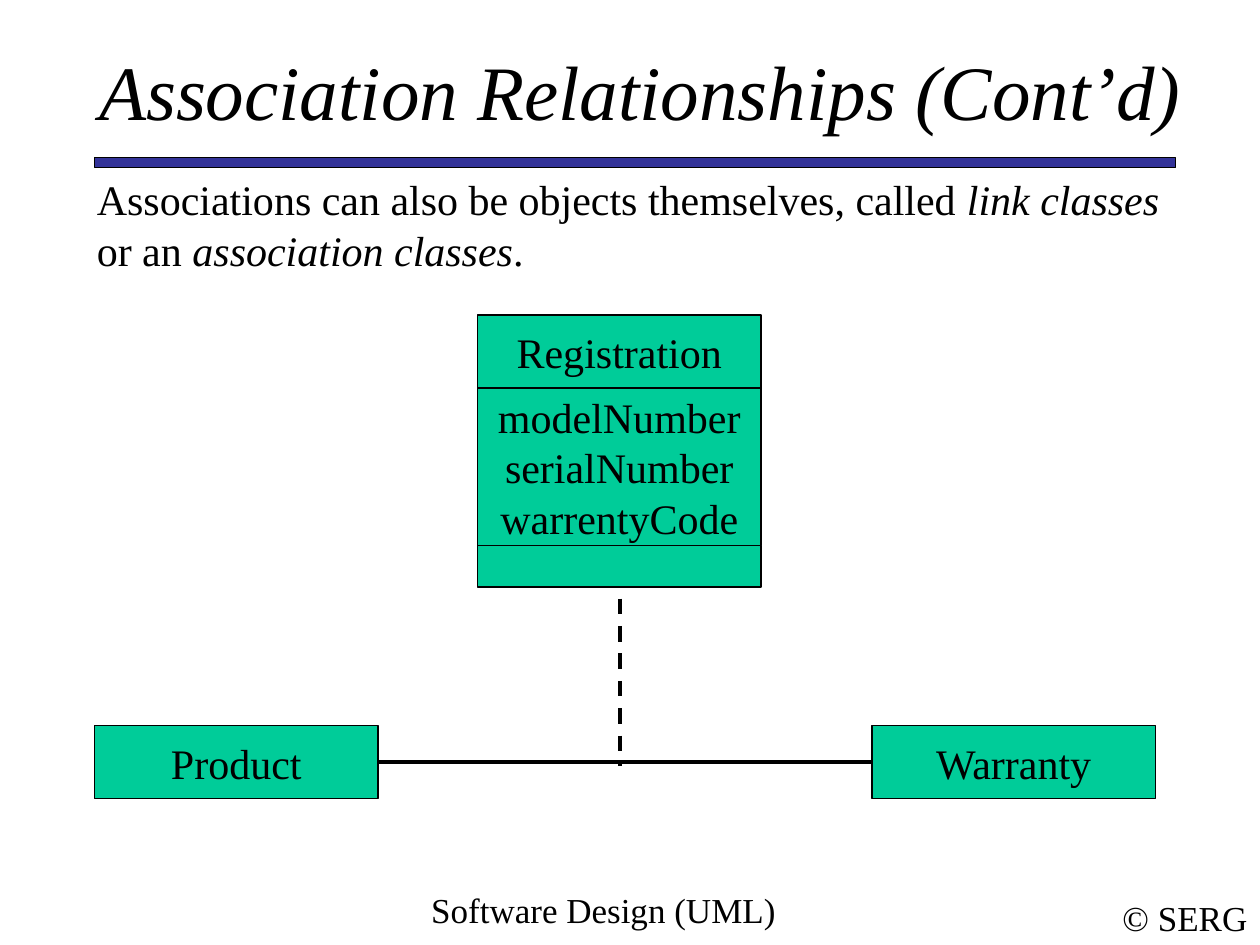
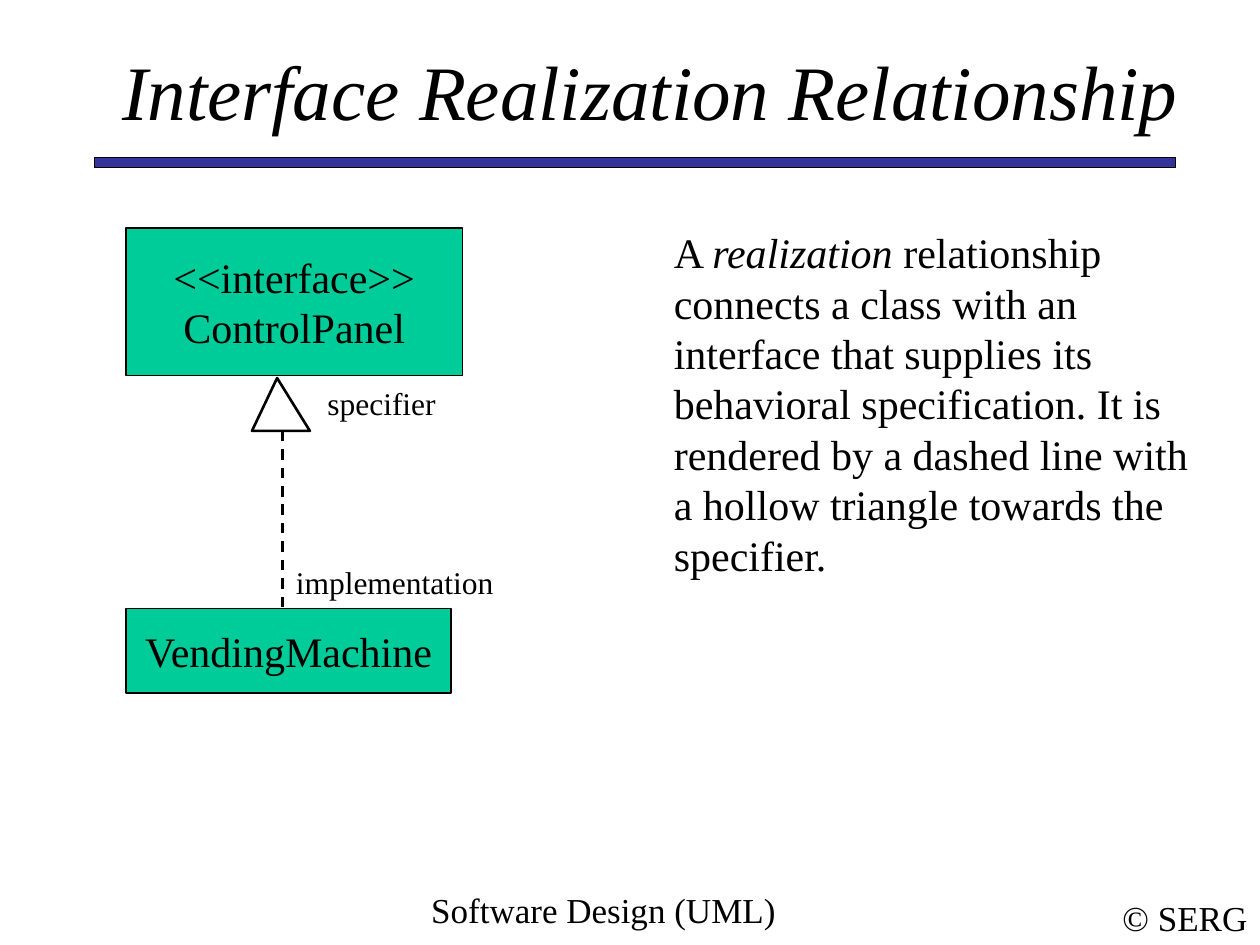
from lxml import etree
from pptx import Presentation
from pptx import util as u
from pptx.dml.color import RGBColor
from pptx.enum import dml, shapes, text
from pptx.oxml.ns import qn

INK, PAPER, BAND, GREEN = "000000", "FFFFFF", "333399", "00CC99"
FONT = "Times New Roman"
RECT = shapes.MSO_SHAPE.RECTANGLE
MID, LEFT = text.PP_ALIGN.CENTER, text.PP_ALIGN.LEFT


def write(frame, lines, size, align=MID, wrap=True, anchor=text.MSO_ANCHOR.TOP):
    frame.auto_size = text.MSO_AUTO_SIZE.NONE
    frame.word_wrap = wrap
    frame.vertical_anchor = anchor
    for row, line in enumerate(lines):
        para = frame.add_paragraph() if row else frame.paragraphs[0]
        para.alignment = align
        for part, words in enumerate(line.split("|")):
            if words:
                run = para.add_run()
                run.text = words
                run.font.name = FONT
                run.font.size = u.Pt(size)
                run.font.italic = part % 2 == 1
                run.font.color.rgb = RGBColor.from_string(INK)


def paint(item, width, fill=None):
    item.line.color.rgb = RGBColor.from_string(INK)
    item.line.width = u.Pt(width)
    if fill:
        item.shadow.inherit = False
        item.fill.solid()
        item.fill.fore_color.rgb = RGBColor.from_string(fill)
    else:
        etree.SubElement(item._element.spPr, qn("a:effectLst"))


deck = Presentation()
deck.slide_width, deck.slide_height = u.Inches(10), u.Inches(7.5)

pages = [
    {
        "title": (0.67, "|Association Relationships (Cont’d)|"),
        "notes": [
            (0.67, 1.33, 8.87, 0.9, 24, "Associations can also be objects themselves, "
             "called |link classes| or an |association classes|."),
        ],
        "boxes": [
            (0.75, 5.76, 2.25, 0.58, ["Product"]),
            (6.92, 5.76, 2.25, 0.58, ["Warranty"]),
            (3.79, 4.33, 2.25, 0.33, []),
            (3.79, 2.5, 2.25, 0.58, ["Registration"]),
            (3.79, 3.08, 2.25, 1.25, ["modelNumber", "serialNumber", "warrentyCode"]),
        ],
        "dash": (4.92, 4.75, 6.08, 2.25),
    },
    {
        "title": (0.75, "|Interface Realization Relationship|"),
        "notes": [
            (5.25, 1.75, 4.33, 2.9, 24, "A |realization| relationship connects a class "
             "with an interface that supplies its behavioral specification. It is rendered "
             "by a dashed line with a hollow triangle towards the specifier."),
            (2.5, 3, 1.08, 0.4, 18, "specifier"),
            (2.25, 4.42, 1.83, 0.4, 18, "implementation"),
        ],
        "boxes": [
            (1, 1.81, 2.67, 1.17, ["<<interface>>", "ControlPanel"]),
            (1, 4.83, 2.58, 0.67, ["VendingMachine"]),
        ],
        "dash": (2.24, 3.42, 4.83, 1.5),
    },
]

for page in pages:
    slide = deck.slides.add_slide(deck.slide_layouts[5])
    draw = slide.shapes

    left, words = page["title"]
    title = draw.title
    title.left, title.top = u.Inches(left), u.Inches(0.42)
    title.width, title.height = u.Inches(8.83), u.Inches(0.58)
    write(title.text_frame, [words], 44, anchor=text.MSO_ANCHOR.MIDDLE)

    band = draw.add_shape(RECT, *map(u.Inches, (0.75, 1.25, 8.58, 0.08)))
    paint(band, 0.75, BAND)

    mark = draw.add_textbox(*map(u.Inches, (8.81, 7.07, 1.19, 0.43)))
    write(mark.text_frame, ["© SERG"], 20, wrap=False, anchor=text.MSO_ANCHOR.MIDDLE)
    foot = draw.add_textbox(*map(u.Inches, (2.58, 7, 4.42, 0.5)))
    write(foot.text_frame, ["Software Design (UML)"], 20)

    nodes = []
    for *place, lines in page["boxes"]:
        node = draw.add_shape(RECT, *map(u.Inches, place))
        paint(node, 0.75, GREEN)
        write(node.text_frame, lines, 24, wrap=False, anchor=text.MSO_ANCHOR.MIDDLE)
        nodes.append(node)

    x, top, end, width = page["dash"]
    dash = draw.add_connector(shapes.MSO_CONNECTOR.STRAIGHT, *map(u.Inches, (x, top, x, end)))
    paint(dash, width)
    dash.line.dash_style = dml.MSO_LINE.DASH

    for *place, size, words in page["notes"]:
        note = draw.add_textbox(*map(u.Inches, place))
        write(note.text_frame, [words], size, LEFT)

    if page is pages[0]:
        link = draw.add_connector(shapes.MSO_CONNECTOR.STRAIGHT, 0, 0, 0, 0)
        link.begin_connect(nodes[0], 3)
        link.end_connect(nodes[1], 1)
        paint(link, 2.25)
    else:
        tip = draw.build_freeform(u.Inches(2.2), u.Inches(3))
        tip.add_line_segments(
            [(u.Inches(2), u.Inches(3.42)), (u.Inches(2.46), u.Inches(3.42))], close=True)
        paint(tip.convert_to_shape(), 1.5, PAPER)

deck.save("out.pptx")
